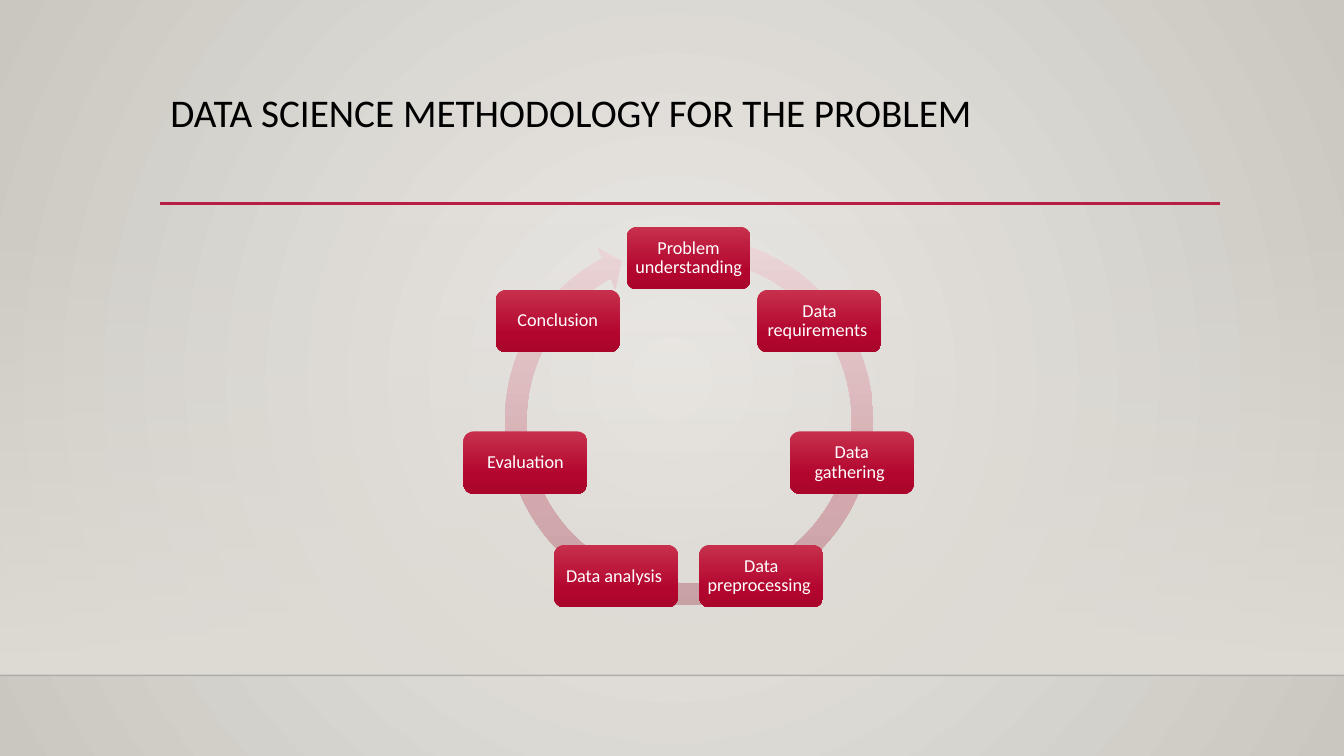
from math import cos, pi, sin

from lxml.etree import SubElement
from pptx import Presentation
from pptx.dml.color import RGBColor
from pptx.enum.shapes import MSO_CONNECTOR, MSO_SHAPE
from pptx.enum.text import MSO_ANCHOR, PP_ALIGN
from pptx.oxml import parse_xml
from pptx.oxml.ns import nsdecls, qn
from pptx.util import Inches, Pt

STEPS = ["Problem understanding ", "Data requirements ", "Data gathering ",
         "Data preprocessing ", "Data analysis ", "Evaluation", "Conclusion"]
CENTER_X, CENTER_Y, RADIUS = 6.83, 4.22, 1.66
BOX_W, BOX_H = 1.23, 0.62
FONT = "Calibri"
DOWN = '<a:lin ang="5400000" scaled="0"/>'
RADIAL = ('<a:path path="circle"><a:fillToRect l="50000" t="50000" '
          'r="50000" b="50000"/></a:path>')


def rgb(color):
    return RGBColor.from_string(color)


def set_gradient(fill, props, stops, direction=DOWN):
    """Fill with stops of (position %, colour, opacity %)."""
    fill.solid()
    fill.fore_color.rgb = rgb(stops[0][1])
    gs = "".join(
        f'<a:gs pos="{pos * 1000}"><a:srgbClr val="{color}">'
        f'<a:alpha val="{alpha * 1000}"/></a:srgbClr></a:gs>'
        for pos, color, alpha in stops)
    grad = parse_xml(f'<a:gradFill {nsdecls("a")} rotWithShape="1">'
                     f'<a:gsLst>{gs}</a:gsLst>{direction}</a:gradFill>')
    solid = props.find(qn("a:solidFill"))
    props.replace(solid, grad)


def add_gradient_shape(s, kind, x, y, w, h, stops):
    sp = s.shapes.add_shape(kind, Inches(x), Inches(y), Inches(w), Inches(h))
    sp.shadow.inherit = False
    sp.line.fill.background()
    set_gradient(sp.fill, sp._element.spPr, stops)
    return sp


def add_rule(s, x1, x2, y, color, width, alpha=100):
    line = s.shapes.add_connector(MSO_CONNECTOR.STRAIGHT, Inches(x1),
                                  Inches(y), Inches(x2), Inches(y))
    line.line.color.rgb = rgb(color)
    line.line.width = Pt(width)
    spPr = line._element.spPr
    if alpha < 100:
        clr = spPr.find(".//" + qn("a:srgbClr"))
        SubElement(clr, qn("a:alpha")).set("val", str(alpha * 1000))
    SubElement(spPr, qn("a:effectLst"))


def add_run(p, text, size, color):
    p.line_spacing = 0.9
    r = p.add_run()
    r.text = text
    r.font.name = FONT
    r.font.size = Pt(size)
    r.font.color.rgb = rgb(color)


def add_title(s, text):
    title = s.shapes.title
    title.left, title.top = Inches(1.59), Inches(0.88)
    title.width, title.height = Inches(10.5), Inches(1.15)
    tf = title.text_frame
    tf.word_wrap = True
    tf.vertical_anchor = MSO_ANCHOR.TOP
    p = tf.paragraphs[0]
    p.alignment = PP_ALIGN.LEFT
    add_run(p, text, 28, "000000")


def add_cycle_arrow(s):
    size = 3.89
    sp = add_gradient_shape(
        s, MSO_SHAPE.CIRCULAR_ARROW, 4.89, 2.23, size, size,
        [(0, "EDD8DA", 100), (69, "D2A8AC", 100), (100, "C6A1A4", 100)])
    # Thickness, head angle, end angle, start angle, head width
    angles = [a * 0.6 for a in (5.51, 241.5, 282.75)]
    for i, value in enumerate([0.055, *angles, 0.058]):
        sp.adjustments[i] = value


def add_step(s, text, cx, cy):
    sp = add_gradient_shape(
        s, MSO_SHAPE.ROUNDED_RECTANGLE, cx - BOX_W / 2, cy - BOX_H / 2,
        BOX_W, BOX_H,
        [(0, "C7304C", 100), (69, "B3062F", 100), (100, "AA062C", 100)])
    tf = sp.text_frame
    tf.word_wrap = True
    tf.vertical_anchor = MSO_ANCHOR.MIDDLE
    tf.margin_left = tf.margin_right = Inches(0.05)
    tf.margin_top = tf.margin_bottom = Inches(0.05)
    p = tf.paragraphs[0]
    p.alignment = PP_ALIGN.CENTER
    add_run(p, text, 13, "FFFFFF")


def main():
    prs = Presentation()
    prs.slide_width, prs.slide_height = Inches(13.33), Inches(7.5)
    s = prs.slides.add_slide(prs.slide_layouts[5])

    # Background, lower band and rules
    fill = s.background.fill
    fill.solid()
    set_gradient(fill, s._element.find(".//" + qn("p:bgPr")),
                 [(0, "ECEAE7", 100), (100, "CAC7C1", 100)], RADIAL)
    add_gradient_shape(s, MSO_SHAPE.RECTANGLE, 0, 2.21, 13.33, 4.49,
                       [(0, "DFDBD5", 0), (100, "DFDBD5", 100)])
    add_rule(s, 0, 13.33, 6.7, "000001", 1, alpha=20)
    add_rule(s, 1.59, 12.1, 2.02, "B71E42", 2.5)

    add_title(s, "DATA SCIENCE METHODOLOGY FOR THE PROBLEM")

    # Cycle: steps evenly spaced clockwise from the top
    add_cycle_arrow(s)
    for i, step in enumerate(STEPS):
        angle = 2 * pi * i / len(STEPS)
        add_step(s, step, CENTER_X + RADIUS * sin(angle),
                 CENTER_Y - RADIUS * cos(angle))

    prs.save("out.pptx")


if __name__ == "__main__":
    main()
